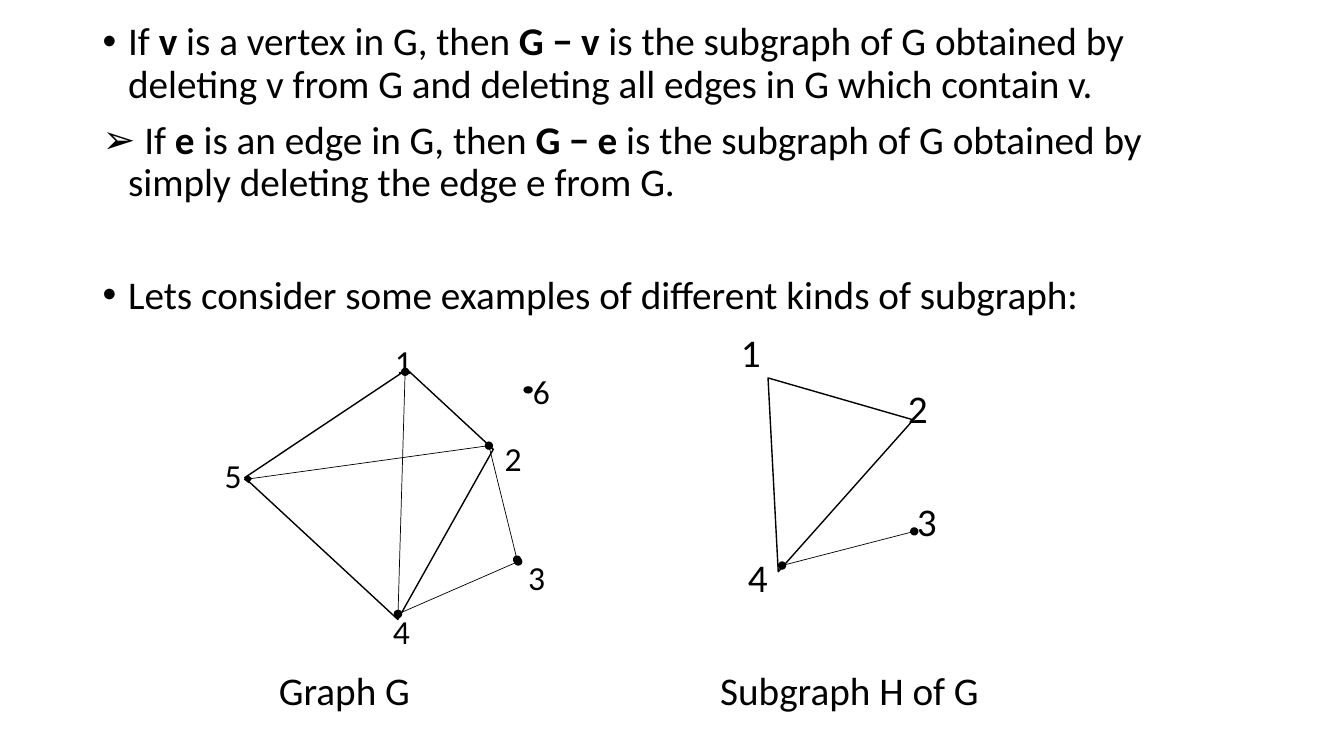
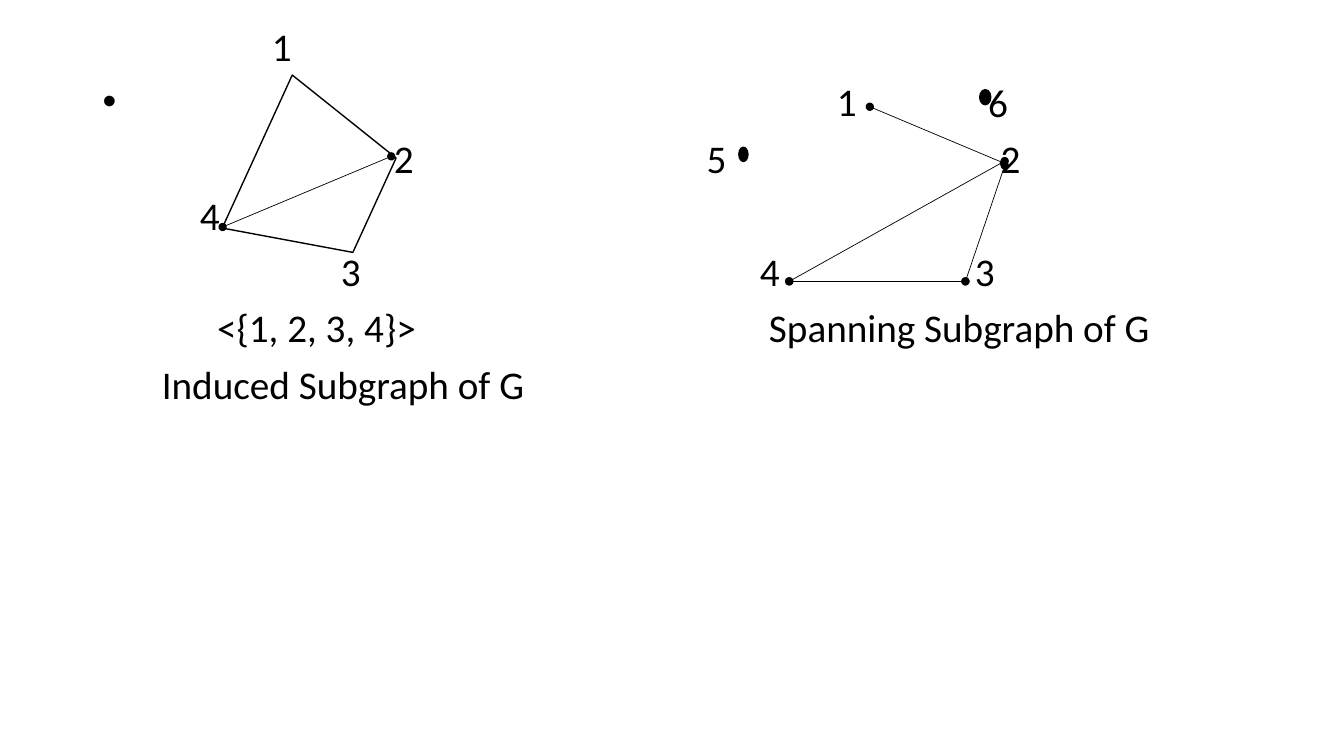
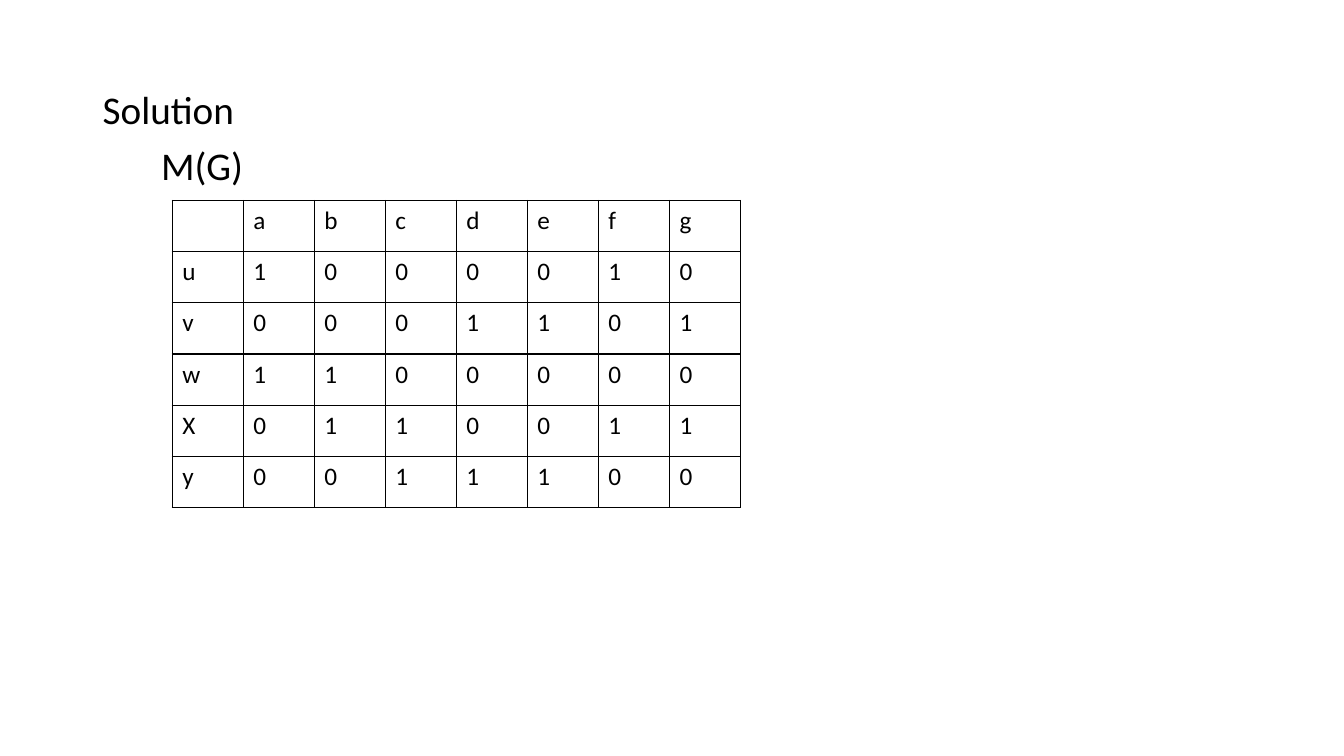
import pptx
import pptx.util
import pptx.dml.color
import pptx.enum.shapes
import pptx.oxml.ns
import lxml.etree

Cm, Pt = pptx.util.Cm, pptx.util.Pt
SHAPE = pptx.enum.shapes.MSO_SHAPE
COLORS = {"ink": "000000", "paper": "FFFFFF"}
FONT = "Calibri"
BODY_LEFT, BODY_WIDTH = 2.34, 29.21
ROW = 1.42  # distance between text rows, cm
INCIDENCE = ["-abcdefg", "u1000010", "v0001101", "w1100000", "X0110011", "y0011100"]


def rgb(name):
    return pptx.dml.color.RGBColor.from_string(COLORS[name])


def sub(parent, tag, **attrs):
    return lxml.etree.SubElement(parent, pptx.oxml.ns.qn(tag), **attrs)


def add_run(p, text, size=28, bold=False):
    r = p.add_run()
    r.text = text
    r.font.name, r.font.size, r.font.bold = FONT, Pt(size), bold
    r.font.color.rgb = rgb("ink")


def add_box(s, left, top, width, height):
    tf = s.shapes.add_textbox(Cm(left), Cm(top), Cm(width), Cm(height)).text_frame
    tf.word_wrap = True
    return tf


def add_label(s, text, left, top, size=28):
    tf = add_box(s, left, top, 0.8 + 0.5 * len(text), 1.4)
    add_run(tf.paragraphs[0], text, size)


def add_row_labels(s, top, labels):
    """Place (text, left, row) labels on evenly spaced rows."""
    for text, left, row in labels:
        add_label(s, text, left, top + ROW * row)


def add_bullets(s, top, height, items):
    """Each item is (bullet, hanging indent, space before, runs); odd runs are bold."""
    tf = add_box(s, BODY_LEFT, top, BODY_WIDTH, height)
    for i, (bullet, hang, before, runs) in enumerate(items):
        p = tf.add_paragraph() if i else tf.paragraphs[0]
        pPr = p._p.get_or_add_pPr()
        pPr.set("marL", str(Cm(hang)))
        pPr.set("indent", str(-Cm(hang)))
        sub(pPr, "a:buFont", typeface="Arial")
        sub(pPr, "a:buChar", char=bullet)
        p.line_spacing = 0.9
        if before:
            p.space_before = Pt(before)
        for j, text in enumerate(runs):
            add_run(p, text, bold=j % 2 == 1)


def add_outline(s, kind, left, top, width, height, rotation=0, adj=None):
    sp = s.shapes.add_shape(kind, Cm(left), Cm(top), Cm(width), Cm(height))
    sp.shadow.inherit = False
    sp.rotation = rotation
    if adj is not None:
        sp.adjustments[0] = adj
    sp.fill.background()
    sp.line.color.rgb, sp.line.width = rgb("ink"), Pt(1)
    return sp


def add_dot(s, left, top, width, height):
    sp = add_outline(s, SHAPE.OVAL, left, top, width, height)
    sp.fill.solid()
    sp.fill.fore_color.rgb = rgb("ink")


def add_edge(s, x1, y1, x2, y2, end="oval"):
    c = s.shapes.add_connector(pptx.enum.shapes.MSO_CONNECTOR.STRAIGHT,
                               Cm(x1), Cm(y1), Cm(x2), Cm(y2))
    c.line.color.rgb, c.line.width = rgb("ink"), Pt(0.5)
    ln = c.line._get_or_add_ln()
    sub(ln, "a:headEnd", type=end)
    sub(ln, "a:tailEnd", type=end)
    sub(c._element.spPr, "a:effectLst")


def add_grid(s, rows, left, top, col_width, row_height):
    n_rows, n_cols = len(rows), len(rows[0])
    table = s.shapes.add_table(n_rows, n_cols, Cm(left), Cm(top),
                               Cm(col_width * n_cols), Cm(row_height * n_rows)).table
    table.first_row = table.horz_banding = False
    for i, row in enumerate(rows):
        for j, text in enumerate(row):
            cell = table.cell(i, j)
            tcPr = cell._tc.get_or_add_tcPr()
            for side in "LRTB":
                ln = sub(tcPr, "a:ln" + side, w=str(Pt(1)))
                sub(sub(ln, "a:solidFill"), "a:srgbClr", val=COLORS["ink"])
            cell.fill.background()
            if text != "-":
                add_run(cell.text_frame.paragraphs[0], text, 18)


def new_slide(prs):
    s = prs.slides.add_slide(prs.slide_layouts[6])
    s.background.fill.solid()
    s.background.fill.fore_color.rgb = rgb("paper")
    return s


def subgraph_slide(prs):
    s = new_slide(prs)
    add_bullets(s, 0.43, 8, [
        ("•", 0.64, 0, ["If ", "v", " is a vertex in G, then ", "G − v ",
                        "is the subgraph of G obtained by deleting v from G "
                        "and deleting all edges in G which contain v."]),
        ("➢", 0.64, 10, [" If ", "e", " is an edge in G, then ", "G − e ",
                         "is the subgraph of G obtained by simply deleting "
                         "the edge e from G."]),
        ("•", 0.64, 50, ["Lets consider some examples of different kinds of subgraph:"]),
    ])
    add_row_labels(s, 8.15, [
        ("1", 18.42, 0), ("2", 22.63, 1), ("3", 22.86, 3), ("4", 18.6, 4),
        ("Graph G", 6.78, 6), ("Subgraph H of G", 17.9, 6)])

    add_outline(s, SHAPE.TRAPEZOID, 7.09, 9.68, 5.26, 4.78, 42.8, 0.24)
    add_edge(s, 12.32, 11.23, 13.03, 14.1)
    add_edge(s, 10.03, 15.47, 13.06, 14.15)
    add_edge(s, 6.25, 12.07, 12.32, 11.23, "diamond")
    add_edge(s, 10.21, 9.37, 10.03, 15.47)
    add_dot(s, 13.21, 9.75, 0.2, 0.15)
    for text, left, top in [("1", 9.7, 8.46), ("2", 12.47, 10.9), ("3", 13.06, 13.92),
                            ("4", 9.65, 15.27), ("5", 5.41, 11.35), ("6", 13.18, 9.22)]:
        add_label(s, text, left, top, 24)

    add_outline(s, SHAPE.ISOSCELES_TRIANGLE, 18.64, 9.96, 3.81, 4.62, 196.1, 0.58)
    add_edge(s, 19.71, 14.25, 23.04, 13.39)


def induced_spanning_slide(prs):
    s = new_slide(prs)
    add_bullets(s, 1.95, 1.4, [("•", 18.5, 0, ["1"])])
    add_row_labels(s, 0.43, [
        ("1", 6.6, 0), ("2", 9.68, 2), ("4", 4.79, 3), ("3", 8.34, 4),
        ("<{1, 2, 3, 4}>", 5.22, 5), ("Induced Subgraph of G", 3.83, 6),
        ("6", 24.65, 1), ("5", 17.56, 2), ("2", 24.97, 2), ("4", 18.9, 4),
        ("3", 24.32, 4), ("Spanning Subgraph of G", 19.13, 5)])

    add_outline(s, SHAPE.TRAPEZOID, 5.84, 2.87, 4.24, 3.25, 114.6)
    add_edge(s, 5.61, 5.72, 9.86, 3.94)

    add_edge(s, 19.89, 7.09, 24.33, 7.09)
    add_edge(s, 19.89, 7.09, 25.32, 4.06)
    add_edge(s, 25.32, 4.17, 24.33, 7.09)
    add_edge(s, 25.3, 4.11, 21.92, 2.69)
    add_dot(s, 18.62, 3.71, 0.23, 0.36)
    add_dot(s, 24.69, 2.26, 0.28, 0.38)


def solution_slide(prs):
    s = new_slide(prs)
    add_row_labels(s, 2.02, [("Solution", BODY_LEFT, 0), ("M(G)", 3.81, 1)])
    add_grid(s, INCIDENCE, 4.34, 5.05, 1.79, 1.29)


def main():
    prs = pptx.Presentation()
    prs.slide_width, prs.slide_height = Cm(33.87), Cm(19.05)
    subgraph_slide(prs)
    induced_spanning_slide(prs)
    solution_slide(prs)
    prs.save("out.pptx")


if __name__ == "__main__":
    main()
